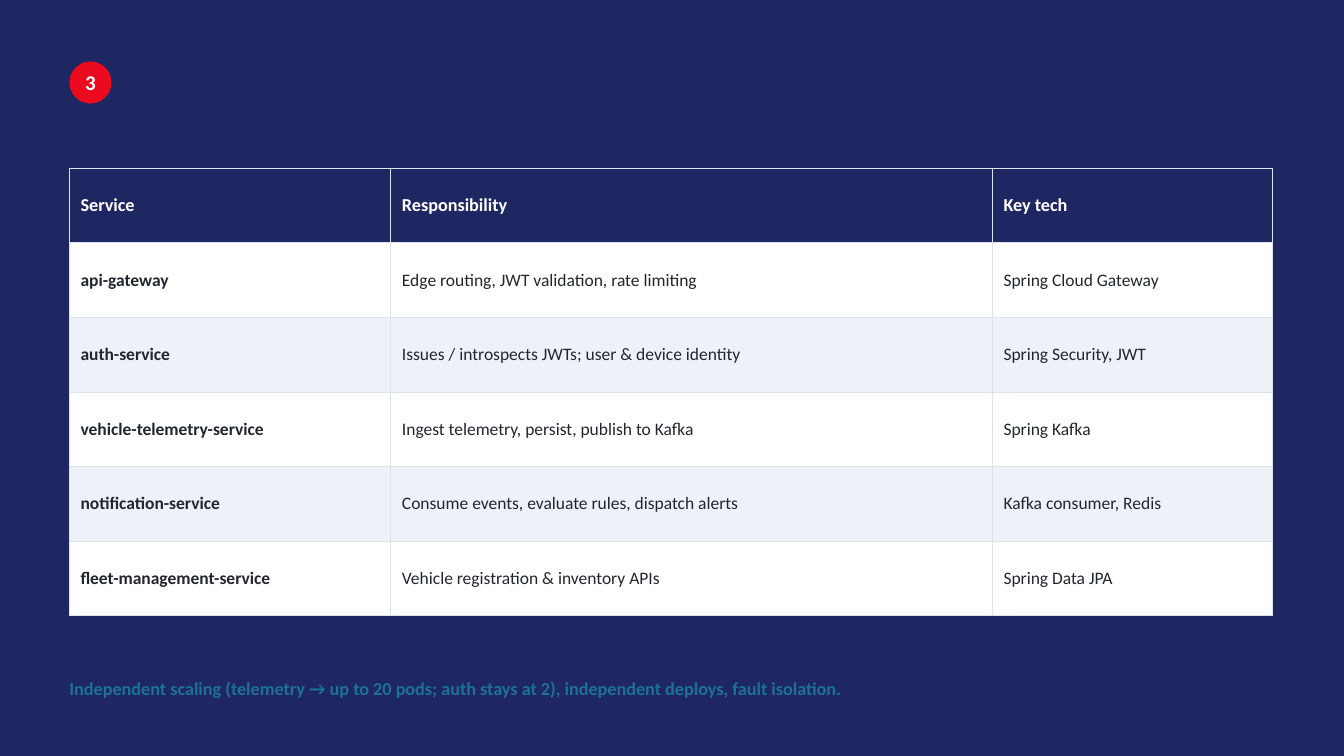
from lxml.etree import SubElement
from pptx import Presentation
from pptx.dml.color import RGBColor
from pptx.enum.shapes import MSO_SHAPE
from pptx.enum.text import MSO_ANCHOR, PP_ALIGN
from pptx.oxml.ns import qn
from pptx.util import Cm, Pt

NAVY = RGBColor(0x1E, 0x27, 0x61)
RED = RGBColor(0xEB, 0x0A, 0x1E)
TEAL = RGBColor(0x1C, 0x72, 0x93)
INK = RGBColor(0x22, 0x26, 0x2E)
WHITE = RGBColor(0xFF, 0xFF, 0xFF)
STRIPE = RGBColor(0xEE, 0xF2, 0xF8)
RULE = RGBColor(0xDD, 0xE3, 0xEC)

LEFT, WIDTH = 1.75, 30.32
COLUMN_WIDTHS = [8.1, 15.16, 7.06]
SERVICES = [
    ("Service", "Responsibility", "Key tech"),
    ("api-gateway", "Edge routing, JWT validation, rate limiting", "Spring Cloud Gateway"),
    ("auth-service", "Issues / introspects JWTs; user & device identity", "Spring Security, JWT"),
    ("vehicle-telemetry-service", "Ingest telemetry, persist, publish to Kafka", "Spring Kafka"),
    ("notification-service", "Consume events, evaluate rules, dispatch alerts", "Kafka consumer, Redis"),
    ("fleet-management-service", "Vehicle registration & inventory APIs", "Spring Data JPA"),
]


def set_all(target, formats):
    for name, value in formats.items():
        setattr(target, name, value)


def write(tf, text, size, color, bold=True, align=None, margins=(0, 0, 0, 0)):
    """Fill a text frame or cell; margins run left, top, right, bottom in cm."""
    sides = ("margin_left", "margin_top", "margin_right", "margin_bottom")
    set_all(tf, {side: Cm(m) for side, m in zip(sides, margins)})
    p = getattr(tf, "text_frame", tf).paragraphs[0]
    p.alignment = align
    r = p.add_run()
    r.text = text
    set_all(r.font, {"name": "Calibri", "size": Pt(size), "bold": bold})
    r.font.color.rgb = color


def add_borders(cell):
    tc_pr = cell._tc.get_or_add_tcPr()
    for index, side in enumerate(("lnL", "lnR", "lnT", "lnB")):
        ln = SubElement(tc_pr, qn(f"a:{side}"), w=str(Pt(0.75)))
        fill = SubElement(ln, qn("a:solidFill"))
        SubElement(fill, qn("a:srgbClr"), val=str(RULE))
        tc_pr.insert(index, ln)


def add_number_badge(s, left, top, size, number):
    sp = s.shapes.add_shape(MSO_SHAPE.OVAL, Cm(left), Cm(top), Cm(size), Cm(size))
    sp.shadow.inherit = False
    sp.fill.solid()
    sp.fill.fore_color.rgb = RED
    sp.line.fill.background()
    tf = sp.text_frame
    set_all(tf, {"vertical_anchor": MSO_ANCHOR.MIDDLE, "word_wrap": False})
    write(tf, number, 15, WHITE, align=PP_ALIGN.CENTER)


def add_service_table(s, left, top, width, height):
    table = s.shapes.add_table(len(SERVICES), len(COLUMN_WIDTHS), Cm(left), Cm(top),
                               Cm(width), Cm(height)).table
    table.horz_banding = False
    for column, column_width in zip(table.columns, COLUMN_WIDTHS):
        column.width = Cm(column_width)
    for i, row in enumerate(SERVICES):
        header = i == 0
        background = NAVY if header else (STRIPE, WHITE)[i % 2]
        for j, text in enumerate(row):
            cell = table.cell(i, j)
            cell.fill.solid()
            cell.fill.fore_color.rgb = background
            cell.vertical_anchor = MSO_ANCHOR.MIDDLE
            write(cell, text, 13 if header else 12.5, WHITE if header else INK,
                  bold=header or j == 0, margins=(0.28, 0.1, 0.2, 0.1))
            add_borders(cell)


def add_takeaway(s, left, top, width, height, text):
    tf = s.shapes.add_textbox(Cm(left), Cm(top), Cm(width), Cm(height)).text_frame
    tf.word_wrap = True
    write(tf, text, 13, TEAL, margins=(0, 0.47, 0, 0))


def build_service_slide(prs):
    s = prs.slides.add_slide(prs.slide_layouts[6])
    s.background.fill.solid()
    s.background.fill.fore_color.rgb = NAVY
    add_number_badge(s, LEFT, 1.55, 1.06, "3")
    add_service_table(s, LEFT, 4.24, WIDTH, 11.28)
    add_takeaway(s, LEFT, 16.59, WIDTH, 0.84,
                 "Independent scaling (telemetry → up to 20 pods; auth stays at 2), "
                 "independent deploys, fault isolation.")


def main():
    prs = Presentation()
    set_all(prs, {"slide_width": Cm(33.87), "slide_height": Cm(19.05)})
    build_service_slide(prs)
    prs.save("out.pptx")


if __name__ == "__main__":
    main()
